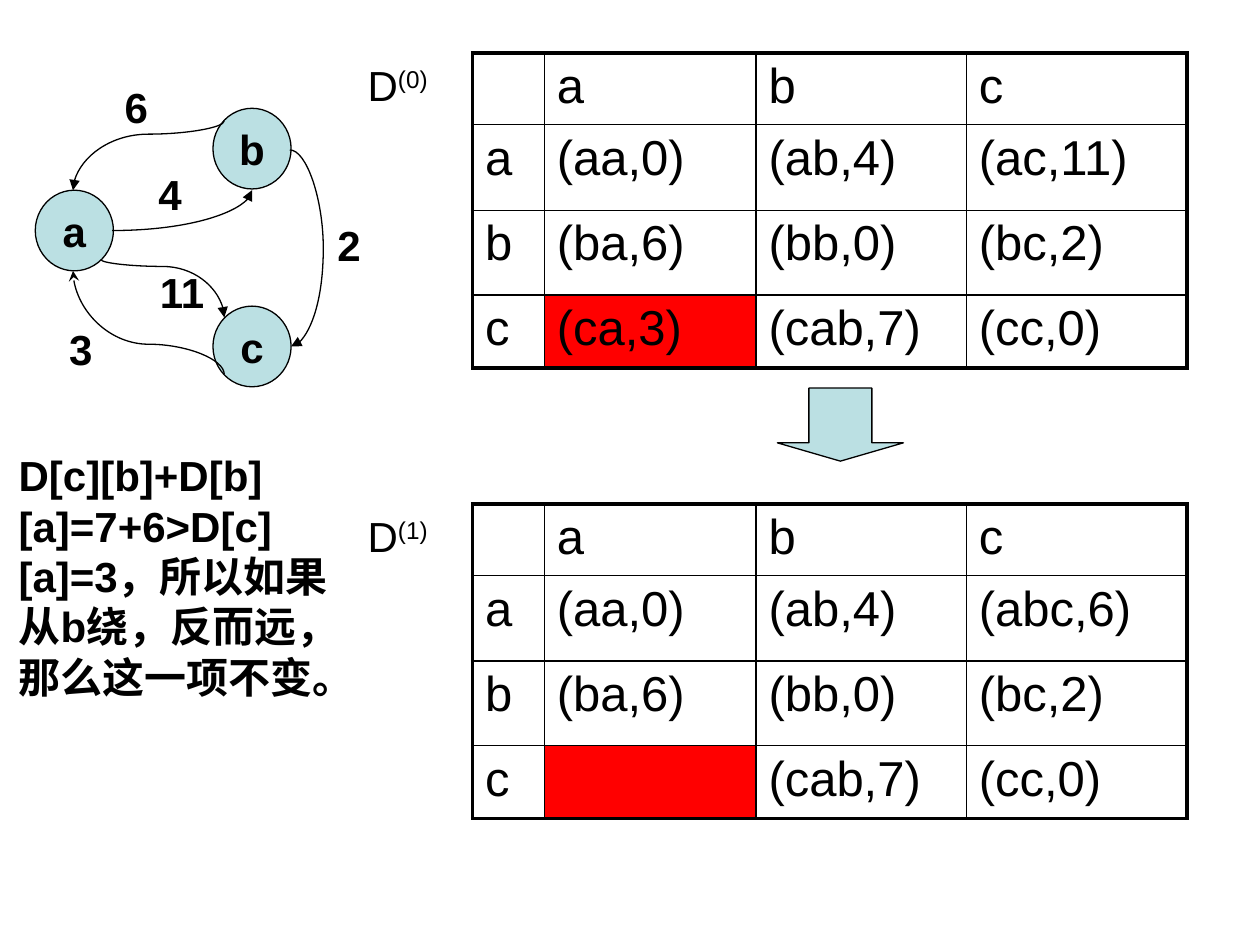
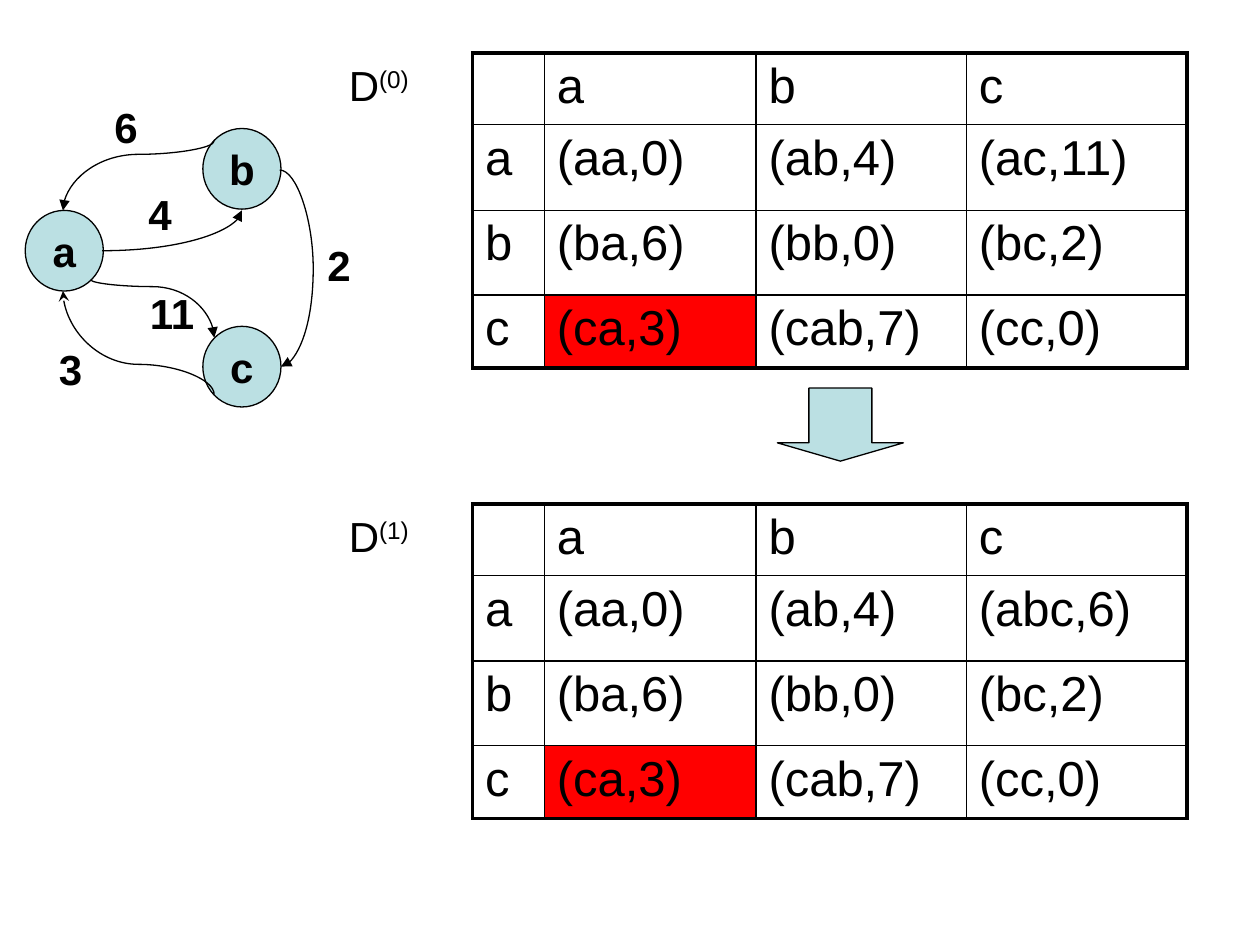
from lxml.etree import SubElement
from pptx import Presentation
from pptx.dml.color import RGBColor
from pptx.enum.shapes import MSO_CONNECTOR, MSO_SHAPE
from pptx.enum.text import MSO_ANCHOR, MSO_AUTO_SIZE, PP_ALIGN
from pptx.oxml.ns import qn
from pptx.util import Inches, Pt

FONT, INK, TINT, MARK = "Arial", "000000", "BBE0E3", "FF0000"
SLIDE_W, SLIDE_H = Inches(10), Inches(7.5)
UNIT = SLIDE_W / 10  # one square cell of the 10 x 7.5 slide grid

# Matrix columns and body rows, in grid units
COLS, BODY_ROWS = (0.57, 1.68, 1.67, 1.75), (0.68, 0.67, 0.58)
TABLE_X, TOP_Y, BOTTOM_Y = 3.75, 0.42, 4
CHANGED = (3, 1)  # cell under discussion

# Graph parts, relative to the graph's corner
NODE_W, NODE_H = 0.62, 0.64
NODES = {"a": (0, 0.91), "b": (1.41, 0.26), "c": (1.41, 1.83)}
WEIGHTS = {"11": (0.89, 1.47), "6": (0.61, 0), "4": (0.88, 0.69),
           "2": (2.3, 1.09), "3": (0.17, 1.92)}
# start, end, preset, bend, turned a quarter, end with the head, head
EDGES = [
    ((0.61, 1.23), (1.72, 0.91), "curvedConnector2", None, False, "tailEnd", "triangle"),
    ((1.5, 0.36), (0.3, 0.91), "curvedConnector3", 0.19, True, "tailEnd", "triangle"),
    ((0.52, 1.46), (1.5, 1.92), "curvedConnector3", 0.12, True, "tailEnd", "triangle"),
    ((0.3, 1.55), (1.5, 2.37), "curvedConnector3", 0.71, True, "headEnd", "stealth"),
    ((2.02, 0.59), (2.03, 2.15), "curvedConnector3", 27, False, "tailEnd", "triangle"),
]

D0 = [["", "a", "b", "c"],
      ["a", "(aa,0)", "(ab,4)", "(ac,11)"],
      ["b", "(ba,6)", "(bb,0)", "(bc,2)"],
      ["c", "(ca,3)", "(cab,7)", "(cc,0)"]]


def grid(*values):
    return [round(v * UNIT) for v in values]


def color(hex_text):
    return RGBColor.from_string(hex_text)


def add_run(p, text, size=24, bold=False, raised=False):
    r = p.add_run()
    r.text = text
    r.font.name, r.font.size, r.font.bold = FONT, Pt(size), bold
    r.font.color.rgb = color(INK)
    if raised:
        r.font._element.set("baseline", "30000")


def add_text(shapes, box):
    tf = shapes.add_textbox(*grid(*box)).text_frame
    tf.word_wrap = True
    tf.auto_size = MSO_AUTO_SIZE.SHAPE_TO_FIT_TEXT
    return tf.paragraphs[0]


def add_tinted(shapes, kind, box):
    sp = shapes.add_shape(kind, *grid(*box))
    sp.shadow.inherit = False
    sp.fill.solid()
    sp.fill.fore_color.rgb = color(TINT)
    sp.line.color.rgb = color(INK)
    sp.line.width = Pt(0.75)
    return sp


def set_borders(cell, heavy_sides):
    tc_pr = cell._tc.get_or_add_tcPr()
    for i, side in enumerate("LRTB"):
        ln = SubElement(tc_pr, qn(f"a:ln{side}"))
        ln.set("w", str(Pt(2.25 if side in heavy_sides else 1)))
        fill = SubElement(ln, qn("a:solidFill"))
        SubElement(fill, qn("a:srgbClr")).set("val", INK)
        tc_pr.insert(i, ln)


def add_matrix(s, x, y, label_x, step, values, head_h):
    # Label with its raised step number
    p = add_text(s.shapes, (label_x, y, 1, 0.5))
    add_run(p, "D")
    add_run(p, f"({step})", raised=True)

    # Matrix with a heavy outline
    heights = (head_h, *BODY_ROWS)
    last = len(values) - 1
    table = s.shapes.add_table(len(values), len(COLS),
                               *grid(x, y, sum(COLS), sum(heights))).table
    table.first_row = table.horz_banding = False
    for col, width in zip(table.columns, grid(*COLS)):
        col.width = width
    for row, height in zip(table.rows, grid(*heights)):
        row.height = height
    for i, row in enumerate(values):
        for j, text in enumerate(row):
            cell = table.cell(i, j)
            if (i, j) == CHANGED:
                cell.fill.solid()
                cell.fill.fore_color.rgb = color(MARK)
            else:
                cell.fill.background()
            outer = {"T": i == 0, "B": i == last, "L": j == 0, "R": j == last}
            set_borders(cell, [side for side, on in outer.items() if on])
            if text:
                add_run(cell.text_frame.paragraphs[0], text, 28)


def add_edge(shapes, x, y, start, end, preset, bend, turned, head_end, head):
    (x1, y1), (x2, y2) = start, end
    if turned:  # the unrotated ends lie a quarter turn about the centre
        cx, cy = (x1 + x2) / 2, (y1 + y2) / 2
        dx, dy = (y1 - y2) / 2, (x2 - x1) / 2
        x1, y1, x2, y2 = cx - dx, cy - dy, cx + dx, cy + dy
    line = shapes.add_connector(MSO_CONNECTOR.CURVE,
                                *grid(x + x1, y + y1, x + x2, y + y2))
    line.line.color.rgb = color(INK)
    line.line.width = Pt(0.75)
    sp_pr = line._element.spPr
    if turned:
        sp_pr.find(qn("a:xfrm")).set("rot", "16200000")
    geom = sp_pr.find(qn("a:prstGeom"))
    geom.set("prst", preset)
    if bend is not None:
        guide = SubElement(geom.find(qn("a:avLst")), qn("a:gd"))
        guide.set("name", "adj1")
        guide.set("fmla", f"val {round(bend * 100000)}")
    SubElement(sp_pr.find(qn("a:ln")), qn(f"a:{head_end}")).set("type", head)
    SubElement(sp_pr, qn("a:effectLst"))


def add_graph(s, x, y):
    shapes = s.shapes.add_group_shape().shapes
    # Nodes
    for name, (nx, ny) in NODES.items():
        sp = add_tinted(shapes, MSO_SHAPE.OVAL, (x + nx, y + ny, NODE_W, NODE_H))
        tf = sp.text_frame
        tf.word_wrap = False
        tf.vertical_anchor = MSO_ANCHOR.MIDDLE
        p = tf.paragraphs[0]
        p.alignment = PP_ALIGN.CENTER
        add_run(p, name, bold=True)
    # Directed edges and their weights
    for edge in EDGES:
        add_edge(shapes, x, y, *edge)
    for weight, (wx, wy) in WEIGHTS.items():
        width = 0.61 if len(weight) > 1 else 0.53
        add_run(add_text(shapes, (x + wx, y + wy, width, 0.56)), weight, bold=True)


def add_step_slide(prs, result, label_x, graph_at, reason=""):
    s = prs.slides.add_slide(prs.slide_layouts[6])
    d1 = [row[:] for row in D0]
    d1[1][3] = "(abc,6)"
    d1[CHANGED[0]][CHANGED[1]] = result
    add_matrix(s, TABLE_X, BOTTOM_Y, label_x, 1, d1, 0.54)
    add_tinted(s.shapes, MSO_SHAPE.DOWN_ARROW, (6.17, 3.08, 1, 0.58)).adjustments[1] = 0.25
    add_matrix(s, TABLE_X, TOP_Y, label_x, 0, D0, 0.57)
    if reason:
        add_run(add_text(s.shapes, (0.05, 3.52, 2.67, 2.12)), reason, bold=True)
    add_graph(s, *graph_at)


def main():
    prs = Presentation()
    prs.slide_width, prs.slide_height = SLIDE_W, SLIDE_H
    add_step_slide(prs, "", 2.82, (0.28, 0.6),
                   "D[c][b]+D[b][a]=7+6>D[c][a]=3，所以如果从b绕，反而远，那么这一项不变。")
    add_step_slide(prs, "(ca,3)", 2.67, (0.2, 0.76))
    prs.save("out.pptx")


if __name__ == "__main__":
    main()
